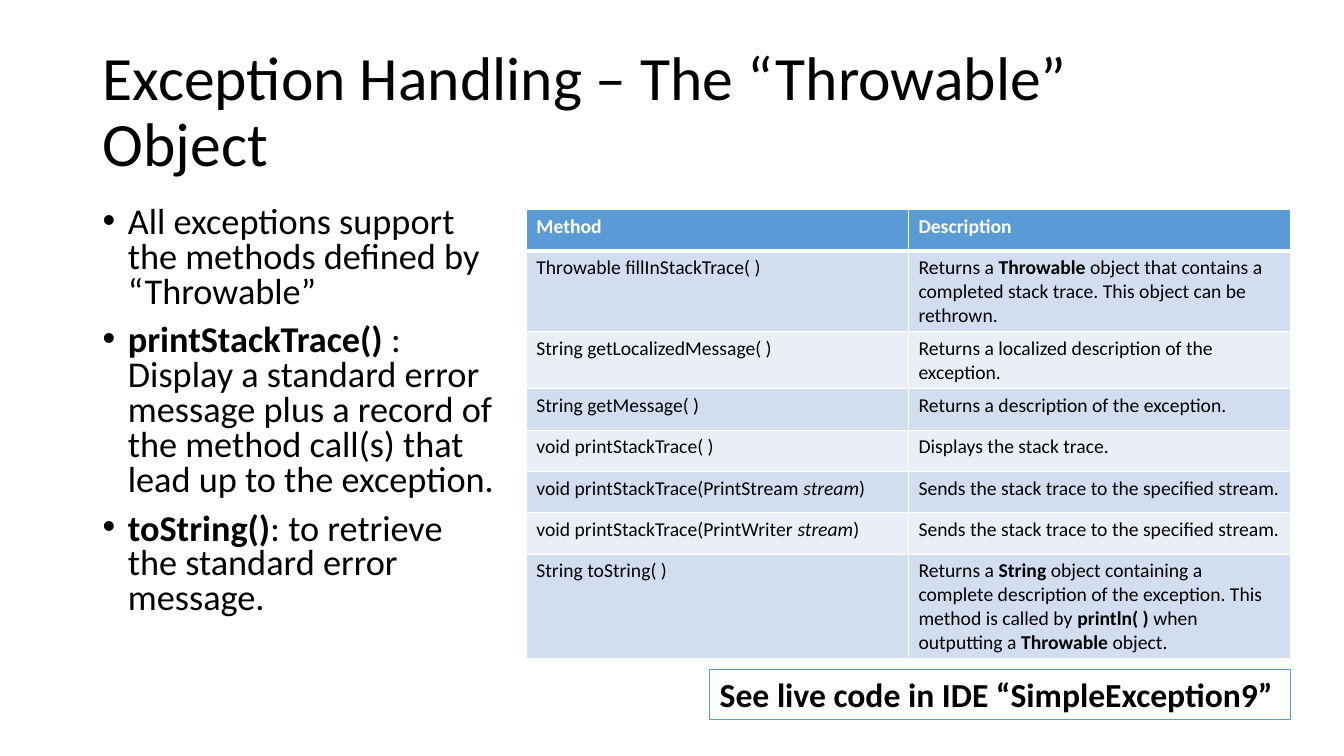
from lxml import etree
from pptx import Presentation
from pptx.dml.color import RGBColor
from pptx.enum import shapes, text
from pptx.oxml import ns
from pptx.util import Inches, Pt

BLACK = RGBColor(0x00, 0x00, 0x00)
WHITE = RGBColor(0xFF, 0xFF, 0xFF)
BLUE = RGBColor(0x5B, 0x9B, 0xD5)
BAND_DARK = RGBColor(0xD2, 0xDE, 0xEF)
BAND_LIGHT = RGBColor(0xEA, 0xEF, 0xF7)


def write(paragraph, content, size, color=BLACK, emphasis="bold"):
    """Fill a paragraph; parts between bars get the emphasis."""
    paragraph.font.name = "Calibri"
    paragraph.font.size = Pt(size)
    paragraph.font.color.rgb = color
    for position, part in enumerate(content.split("|")):
        if part:
            run = paragraph.add_run()
            run.text = part
            if position % 2:
                setattr(run.font, emphasis, True)


def add_border(cell, side, width):
    line = etree.SubElement(cell._tc.get_or_add_tcPr(), ns.qn(f"a:{side}"), w=str(Pt(width)))
    fill = etree.SubElement(line, ns.qn("a:solidFill"))
    etree.SubElement(fill, ns.qn("a:srgbClr"), val=str(WHITE))


prs = Presentation()
prs.slide_width, prs.slide_height = Inches(13.33), Inches(7.5)
slide = prs.slides.add_slide(prs.slide_layouts[6])

# Title
title = slide.shapes.add_textbox(Inches(0.92), Inches(0.4), Inches(11.5), Inches(1.45)).text_frame
title.word_wrap = True
title.vertical_anchor = text.MSO_ANCHOR.MIDDLE
title.paragraphs[0].line_spacing = 0.9
write(title.paragraphs[0], "Exception Handling – The “Throwable” Object", 44)

# Bulleted points
points = [
    "All exceptions support the methods defined by “Throwable”",
    "|printStackTrace() |: Display a standard error message plus a record of "
    "the method call(s) that lead up to the exception.",
    "|toString()|: to retrieve the standard error message.",
]
body = slide.shapes.add_textbox(Inches(0.92), Inches(2), Inches(4.09), Inches(4.76)).text_frame
body.word_wrap = True
for index, point in enumerate(points):
    paragraph = body.add_paragraph() if index else body.paragraphs[0]
    paragraph.line_spacing = 0.8
    paragraph.space_before = Pt(10)
    write(paragraph, point, 25.9)
    props = paragraph._p.get_or_add_pPr()
    props.set("marL", str(Inches(0.25)))
    props.set("indent", str(-Inches(0.25)))
    bullet_font = etree.Element(ns.qn("a:buFont"), typeface="Arial")
    bullet = etree.Element(ns.qn("a:buChar"), char="•")
    default_run = props.find(ns.qn("a:defRPr"))
    default_run.addprevious(bullet_font)
    default_run.addprevious(bullet)

# Method table
methods = [
    ("Method", "Description"),
    ("Throwable fillInStackTrace( )",
     "Returns a |Throwable |object that contains a completed stack trace. "
     "This object can be rethrown."),
    ("String getLocalizedMessage( )", "Returns a localized description of the exception."),
    ("String getMessage( )", "Returns a description of the exception."),
    ("void printStackTrace( )", "Displays the stack trace."),
    ("void printStackTrace(PrintStream |stream|)", "Sends the stack trace to the specified stream."),
    ("void printStackTrace(PrintWriter |stream|)", "Sends the stack trace to the specified stream."),
    ("String toString( )",
     "Returns a |String |object containing a complete description of the exception. "
     "This method is called by |println( ) |when outputting a |Throwable |object."),
]
table = slide.shapes.add_table(len(methods), 2, Inches(5.22), Inches(2.08),
                               Inches(7.58), Inches(0.41 * len(methods))).table
for row, entry in enumerate(methods):
    table.rows[row].height = Inches(0.41)
    for column, content in enumerate(entry):
        cell = table.cell(row, column)
        for side in ("lnL", "lnR", "lnT", "lnB"):
            header_edge = (row, side) in ((0, "lnB"), (1, "lnT"))
            add_border(cell, side, 3 if header_edge else 1)
        cell.fill.solid()
        cell.fill.fore_color.rgb = BLUE if row == 0 else BAND_DARK if row % 2 else BAND_LIGHT
        paragraph = cell.text_frame.paragraphs[0]
        write(paragraph, content, 14, BLACK if row else WHITE, "bold" if column else "italic")
        paragraph.font.bold = row == 0

# Live code callout
callout = slide.shapes.add_shape(shapes.MSO_SHAPE.RECTANGLE, Inches(7.04), Inches(6.64),
                                 Inches(5.76), Inches(0.5))
callout.shadow.inherit = False
callout.fill.background()
callout.line.color.rgb = BLUE
callout.line.width = Pt(0.75)
callout.text_frame.word_wrap = False
callout.text_frame.auto_size = text.MSO_AUTO_SIZE.SHAPE_TO_FIT_TEXT
paragraph = callout.text_frame.paragraphs[0]
paragraph.alignment = text.PP_ALIGN.LEFT
write(paragraph, "See live code in IDE “SimpleException9”", 24)
paragraph.font.bold = True

prs.save("out.pptx")
